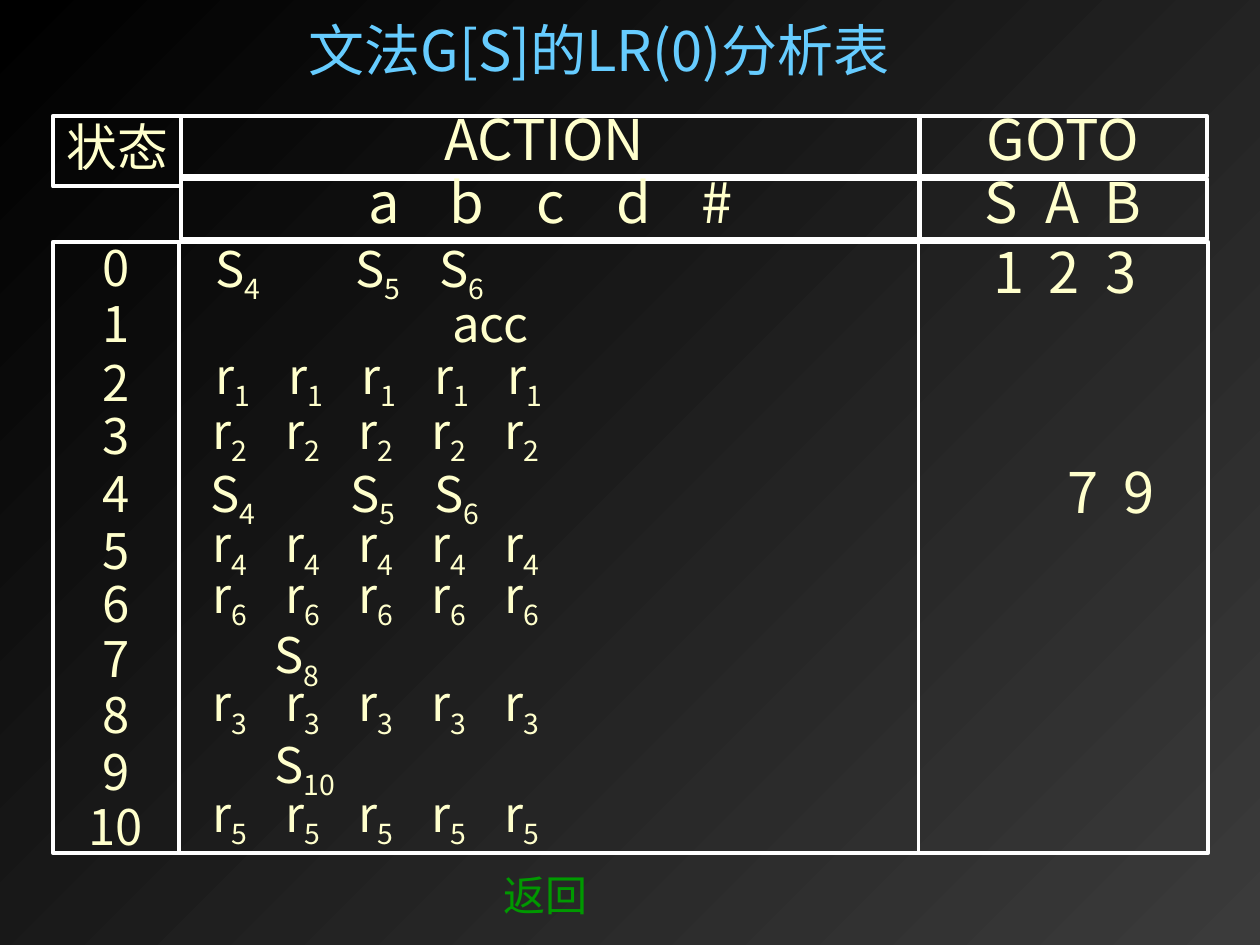
from pptx import Presentation
from pptx.dml.color import RGBColor
from pptx.enum.shapes import MSO_CONNECTOR, MSO_SHAPE
from pptx.enum.text import MSO_ANCHOR, PP_ALIGN
from pptx.oxml.ns import qn
from pptx.util import Inches, Pt
from lxml.etree import SubElement

FONT = "Noto Sans CJK SC"
CREAM, WHITE, SKY, GREEN = "FFFFCC", "FFFFFF", "66CCFF", "009900"

REDUCE_STOPS = [0.26 + 0.58 * i for i in range(5)]
SHIFT_STOPS = [0.26, 1.37, 2.04]
SHIFTS = ["S_4", "S_5", "S_6"]

# state, top of state, left and top of actions, actions, tab stops
ROWS = [
    (0, 1.83, 1.35, 1.84, SHIFTS, SHIFT_STOPS),
    (1, 2.28, 1.31, 2.28, ["acc"], [2.18]),
    (2, 2.75, 1.35, 2.69, ["r_1"] * 5, REDUCE_STOPS),
    (3, 3.17, 1.33, 3.13, ["r_2"] * 5, REDUCE_STOPS),
    (4, 3.63, 1.31, 3.63, SHIFTS, SHIFT_STOPS),
    (5, 4.08, 1.33, 4.03, ["r_4"] * 5, REDUCE_STOPS),
    (6, 4.50, 1.33, 4.43, ["r_6"] * 5, REDUCE_STOPS),
    (7, 4.94, 1.30, 4.91, ["S_8"], [0.78]),
    (8, 5.38, 1.33, 5.29, ["r_3"] * 5, REDUCE_STOPS),
    (9, 5.83, 1.30, 5.78, ["S_10"], [0.78]),
    (10, 6.27, 1.33, 6.17, ["r_5"] * 5, REDUCE_STOPS),
]


def rgb(value):
    return RGBColor.from_string(value)


def add_run(paragraph, text, size, color, subscript=False):
    run = paragraph.add_run()
    run.text = text
    run.font.size = Pt(size)
    run.font.name = FONT
    run.font.color.rgb = rgb(color)
    properties = run.font._element
    SubElement(properties, qn("a:ea")).set("typeface", FONT)
    if subscript:
        properties.set("baseline", "-25000")


def write(shape, text, size=28, color=CREAM, spacing=None, stops=(), stop_kind="l"):
    """Fill a shape; text after "_" in a tabbed cell is a subscript."""
    frame = shape.text_frame
    frame.word_wrap = True
    frame.vertical_anchor = MSO_ANCHOR.MIDDLE
    paragraph = frame.paragraphs[0]
    paragraph.alignment = PP_ALIGN.LEFT if stops else PP_ALIGN.CENTER
    if stops:
        tabs = SubElement(paragraph._p.get_or_add_pPr(), qn("a:tabLst"))
        for stop in stops:
            tab = SubElement(tabs, qn("a:tab"))
            tab.set("pos", str(Inches(stop)))
            tab.set("algn", stop_kind)
    if spacing:
        paragraph.line_spacing = spacing
    for index, cell in enumerate(text.split("\t")):
        base, _, subscript = cell.partition("_")
        lead = "\t" if index else ""
        if lead + base:
            add_run(paragraph, lead + base, size, color)
        if subscript:
            add_run(paragraph, subscript, size, color, subscript=True)


def tabbed(cells):
    """Put each cell at its own tab stop."""
    return "".join(f"\t{cell}" for cell in cells)


def add_label(slide, left, top, width, height, text, **text_format):
    box = slide.shapes.add_textbox(Inches(left), Inches(top), Inches(width), Inches(height))
    write(box, text, **text_format)


def add_cell(slide, left, top, width, height, text="", **text_format):
    cell = slide.shapes.add_shape(
        MSO_SHAPE.RECTANGLE, Inches(left), Inches(top), Inches(width), Inches(height))
    cell.shadow.inherit = False
    cell.fill.background()
    cell.line.color.rgb = rgb(WHITE)
    cell.line.width = Pt(2.25)
    if text:
        write(cell, text, **text_format)


def add_divider(slide, x, top, bottom):
    divider = slide.shapes.add_connector(
        MSO_CONNECTOR.STRAIGHT, Inches(x), Inches(top), Inches(x), Inches(bottom))
    divider.line.color.rgb = rgb(WHITE)
    divider.line.width = Pt(2.25)
    SubElement(divider._element.spPr, qn("a:effectLst"))


def paint_background(slide):
    fill = slide.background.fill
    fill.gradient()
    fill.gradient_angle = 315
    for stop, color, position in zip(fill.gradient_stops, ("000000", "3B3B3B"), (0, 1)):
        stop.color.rgb = rgb(color)
        stop.position = position


def add_header(slide):
    add_cell(slide, 0.42, 0.92, 1.02, 0.56, "状态", size=29, spacing=0.85)
    header = {"size": 32, "spacing": 0.7}
    symbols = [1.51 + 0.66 * i for i in range(5)]
    nonterminals = [0.56 + 0.48 * i for i in range(3)]
    for left, width, title, names, stops in (
            (1.44, 5.86, "ACTION ", "abcd#", symbols),
            (7.29, 2.29, "GOTO", "SAB", nonterminals)):
        add_cell(slide, left, 0.92, width, 0.48, title, **header)
        add_cell(slide, left, 1.42, width, 0.48, tabbed(names),
                 stops=stops, stop_kind="ctr", **header)


def add_body(slide):
    add_cell(slide, 1.42, 1.92, 8.17, 4.85)
    add_divider(slide, 7.29, 1.83, 6.75)
    add_cell(slide, 0.42, 1.92, 1, 4.85)
    for state, state_top, left, top, actions, stops in ROWS:
        add_label(slide, 0.42, state_top, 1, 0.57, str(state))
        height = 0.63 if "_" in actions[0] else 0.57
        add_label(slide, left, top, 5.83, height, tabbed(actions), stops=stops)
    goto = {"size": 32, "stop_kind": "ctr"}
    add_label(slide, 7.46, 1.83, 2, 0.64, tabbed("123"), stops=[0.45, 0.89, 1.34], **goto)
    add_label(slide, 8.19, 3.58, 1.25, 0.64, tabbed("79"), stops=[0.31, 0.75], **goto)


def main():
    presentation = Presentation()
    presentation.slide_width = Inches(10)
    presentation.slide_height = Inches(7.5)
    slide = presentation.slides.add_slide(presentation.slide_layouts[6])
    paint_background(slide)
    add_header(slide)
    add_body(slide)
    add_label(slide, 1.92, 0.07, 5.67, 0.64, "文法G[S]的LR(0)分析表", size=32, color=SKY)
    add_label(slide, 3.58, 6.85, 1.5, 0.5, "返回", size=24, color=GREEN)
    presentation.save("out.pptx")


if __name__ == "__main__":
    main()
